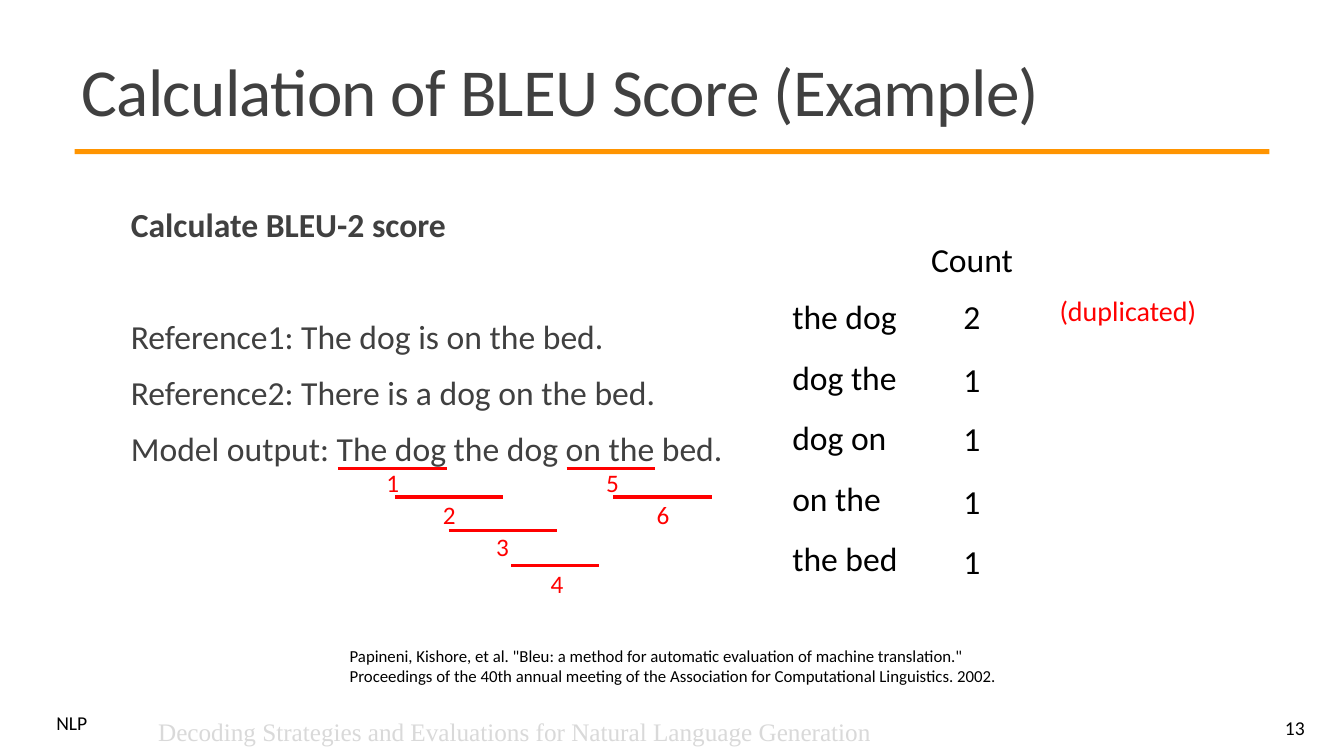
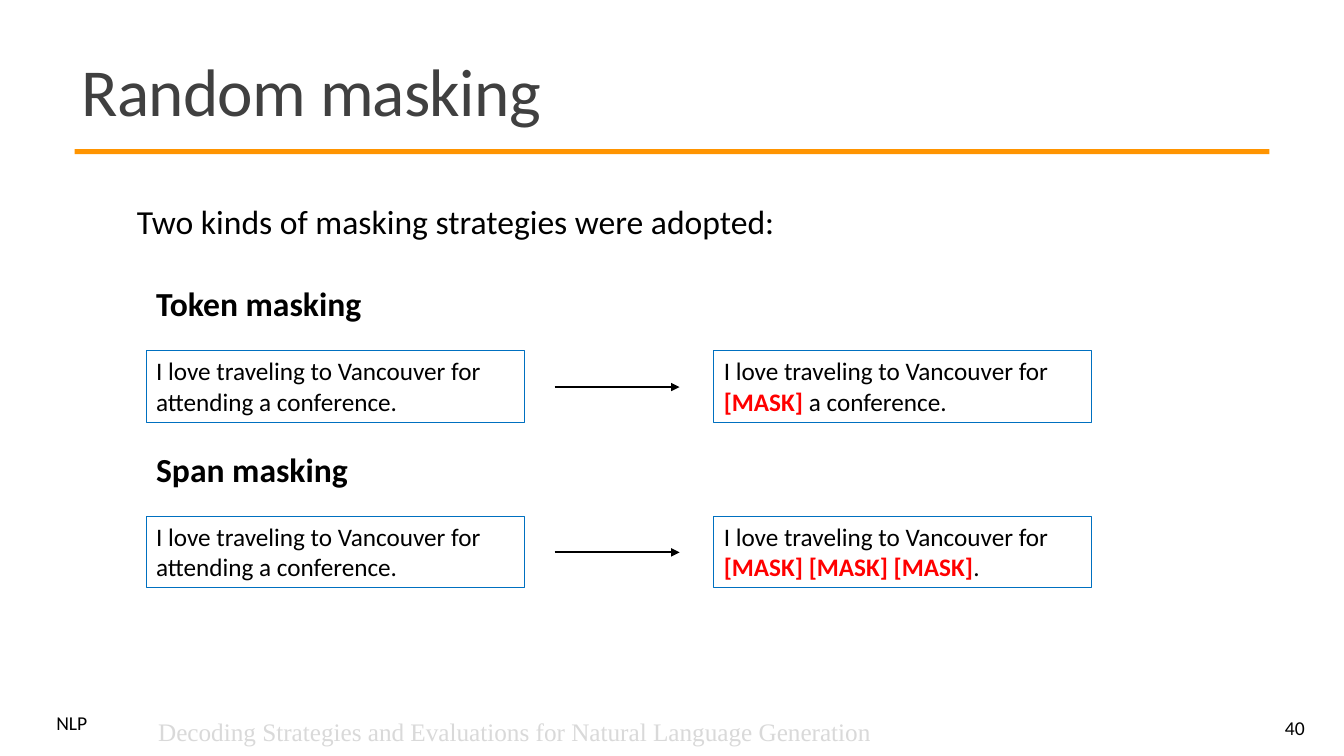
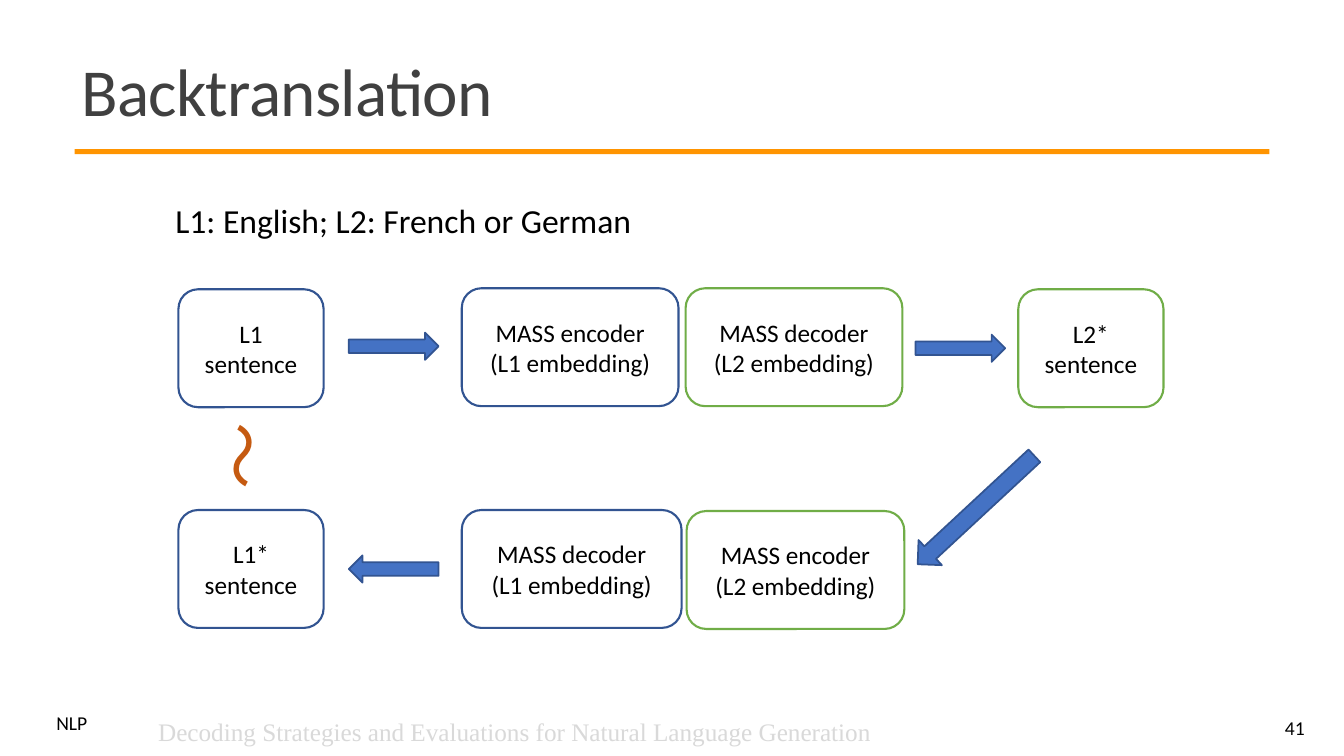
"""Build three lecture slides on BLEU, random masking and backtranslation."""
from lxml.etree import SubElement
from pptx import Presentation
from pptx.dml.color import RGBColor
from pptx.enum.shapes import MSO_CONNECTOR, MSO_SHAPE
from pptx.enum.text import MSO_ANCHOR, PP_ALIGN
from pptx.oxml.ns import qn
from pptx.util import Pt

PX = 9144
COLORS = {
    "black": "000000", "title": "404040", "band": "FF9400", "footer": "D9D9D9",
    "red": "FF0000", "frame": "0070C0", "arrow": "4472C4", "blue": "325491",
    "green": "70AD47", "tilde": "C55A11",
}


def write(shape, text, size, color="black", bold=False, font="Calibri",
          align=PP_ALIGN.LEFT, anchor=MSO_ANCHOR.TOP, spacing=1.0):
    """Fill a shape with text, one paragraph per line, and format it."""
    frame = shape.text_frame
    frame.word_wrap = True
    frame.vertical_anchor = anchor
    frame.text = text
    for paragraph in frame.paragraphs:
        paragraph.alignment = align
        paragraph.line_spacing = spacing
        for run in paragraph.runs:
            run.font.name = font
            run.font.size = Pt(size)
            run.font.bold = bold
            run.font.color.rgb = RGBColor.from_string(COLORS[color])
    return frame


def draw(slide, kind, box, line=None, weight=1.0, fill=None):
    """Add a text box (kind None), a preset shape or a connector."""
    lengths = [value * PX for value in box]
    if kind is None:
        return slide.shapes.add_textbox(*lengths)
    if kind is MSO_CONNECTOR.STRAIGHT:
        shape = slide.shapes.add_connector(kind, *lengths)
    else:
        shape = slide.shapes.add_shape(kind, *lengths)
        if fill:
            shape.fill.solid()
            shape.fill.fore_color.rgb = RGBColor.from_string(COLORS[fill])
        else:
            shape.fill.background()
    if line:
        shape.line.color.rgb = RGBColor.from_string(COLORS[line])
        shape.line.width = Pt(weight)
    else:
        shape.line.fill.background()
    if kind is MSO_CONNECTOR.STRAIGHT:
        SubElement(shape._element.spPr, qn("a:effectLst"))
    else:
        shape.shadow.inherit = False
    return shape


presentation = Presentation()
presentation.slide_width = 1333 * PX
presentation.slide_height = 750 * PX

slides = []
for title, number in [("Calculation of BLEU Score (Example)", "13"),
                      ("Random masking", "40"), ("Backtranslation", "41")]:
    slide = presentation.slides.add_slide(presentation.slide_layouts[6])
    draw(slide, MSO_SHAPE.RECTANGLE, (74, 148, 1185, 5), fill="band")
    write(draw(slide, None, (46, 705, 61, 29)), "NLP", 14, spacing=0.8)
    frame = write(draw(slide, None, (71, 39, 1194, 113)), title, 48, "title",
                  anchor=MSO_ANCHOR.MIDDLE, spacing=0.85)
    frame.paragraphs[0].runs[0]._r.get_or_add_rPr().set("spc", "-50")
    write(draw(slide, None, (1161, 702, 143, 40)), number, 14,
          align=PP_ALIGN.RIGHT, anchor=MSO_ANCHOR.MIDDLE)
    write(draw(slide, None, (147, 706, 752, 40)),
          "Decoding Strategies and Evaluations for Natural Language Generation",
          18, "footer", font="Times New Roman")
    slides.append(slide)
bleu, masking, backtranslation = slides

frame = write(draw(bleu, None, (120, 202, 1100, 440)),
              "Calculate BLEU-2 score\n"
              "Reference1: The dog is on the bed.\n"
              "Reference2: There is a dog on the bed.\n"
              "Model output: The dog the dog on the bed.",
              24, "title", spacing=0.9)
for paragraph, before in zip(frame.paragraphs, (0, 52, 12, 12)):
    paragraph.space_before = Pt(before)
    paragraph.space_after = Pt(2)
frame.paragraphs[0].runs[0].font.bold = True

bigrams = [(335, 443, 465, 369, 459), (392, 499, 493, 425, 490),
           (445, 552, 526, 478, 522), (507, 594, 561, 532, 559),
           (562, 650, 465, 587, 459), (608, 706, 493, 637, 490)]
for index, (start, end, y, label_left, label_top) in enumerate(bigrams, 1):
    draw(bleu, MSO_CONNECTOR.STRAIGHT, (start, y, end, y), "red", 2.25)
    write(draw(bleu, None, (label_left, label_top, 41, 40)), str(index), 18,
          "red", align=PP_ALIGN.CENTER)

write(draw(bleu, None, (776, 269, 210, 307)),
      "the dog\ndog the\ndog on\non the\nthe bed", 24, spacing=1.5)
for top, count in zip((212, 269, 331, 390, 452, 512),
                      ("Count", "2", "1", "1", "1", "1")):
    write(draw(bleu, None, (902, top, 124, 64)), count, 24,
          align=PP_ALIGN.CENTER, spacing=1.5)
write(draw(bleu, None, (1041, 286, 172, 44)), "(duplicated)", 20, "red")
write(draw(bleu, None, (337, 636, 667, 50)),
      'Papineni, Kishore, et al. "Bleu: a method for automatic evaluation of '
      'machine translation." Proceedings of the 40th annual meeting of the '
      "Association for Computational Linguistics. 2002.", 12)

write(draw(masking, None, (126, 174, 1100, 64)),
      "Two kinds of masking strategies were adopted:", 24, spacing=1.5)
sentence = "I love traveling to Vancouver for "
for heading, top, mask, ending in [
        ("Token masking", 348, "[MASK] ", "a conference."),
        ("Span masking", 512, "[MASK] [MASK] [MASK]", ".")]:
    write(draw(masking, None, (145, top - 72, 235, 50)), heading, 24, bold=True)
    source, masked = [
        draw(masking, MSO_SHAPE.RECTANGLE, (left, top, 375, 71), "frame", 0.75)
        for left in (145, 708)]
    write(source, sentence + "attending a conference.", 18)
    paragraph = write(masked, sentence, 18).paragraphs[0]
    for text, color, bold in [(mask, "red", True), (ending, "black", False)]:
        run = paragraph.add_run()
        run.text = text
        run.font.name = "Calibri"
        run.font.size = Pt(18)
        run.font.bold = bold
        run.font.color.rgb = RGBColor.from_string(COLORS[color])
    arrow = draw(masking, MSO_CONNECTOR.STRAIGHT,
                 (550, top + 36, 674, top + 36), "black", 1.5)
    SubElement(arrow._element.spPr.find(qn("a:ln")), qn("a:tailEnd"),
               type="triangle")

bullet_box = draw(backtranslation, None, (164, 173, 578, 64))
properties = bullet_box.text_frame.paragraphs[0]._p.get_or_add_pPr()
properties.set("marL", str(31 * PX))
properties.set("indent", str(-31 * PX))
SubElement(properties, qn("a:buFont"), typeface="Arial")
SubElement(properties, qn("a:buChar"), char="•")
write(bullet_box, "L1: English; L2: French or German", 24, spacing=1.5)

for text, left, top, width, color in [
        ("L1 sentence", 177, 287, 144, "blue"),
        ("MASS encoder\n(L1 embedding)", 458, 286, 215, "blue"),
        ("MASS decoder\n(L2 embedding)", 680, 286, 215, "green"),
        ("L2* sentence", 1010, 287, 144, "green"),
        ("L1* sentence", 177, 506, 144, "blue"),
        ("MASS decoder\n(L1 embedding)", 458, 506, 218, "blue"),
        ("MASS encoder\n(L2 embedding)", 681, 507, 216, "green")]:
    stage = draw(backtranslation, MSO_SHAPE.ROUNDED_RECTANGLE,
                 (left, top, width, 117), color, 1.5)
    write(stage, text, 18, align=PP_ALIGN.CENTER, anchor=MSO_ANCHOR.MIDDLE)

for box, rotation in [((346, 330, 89, 27), 0), ((908, 332, 89, 27), 0),
                      ((889, 489, 158, 34), 137.1), ((346, 551, 89, 27), 180)]:
    arrow = draw(backtranslation, MSO_SHAPE.RIGHT_ARROW, box, "blue", 1.25, "arrow")
    arrow.rotation = rotation

tilde = draw(backtranslation, None, (198, 408, 88, 91))
write(tilde, "～", 48, "tilde").word_wrap = False
tilde.rotation = 90

presentation.save("out.pptx")
